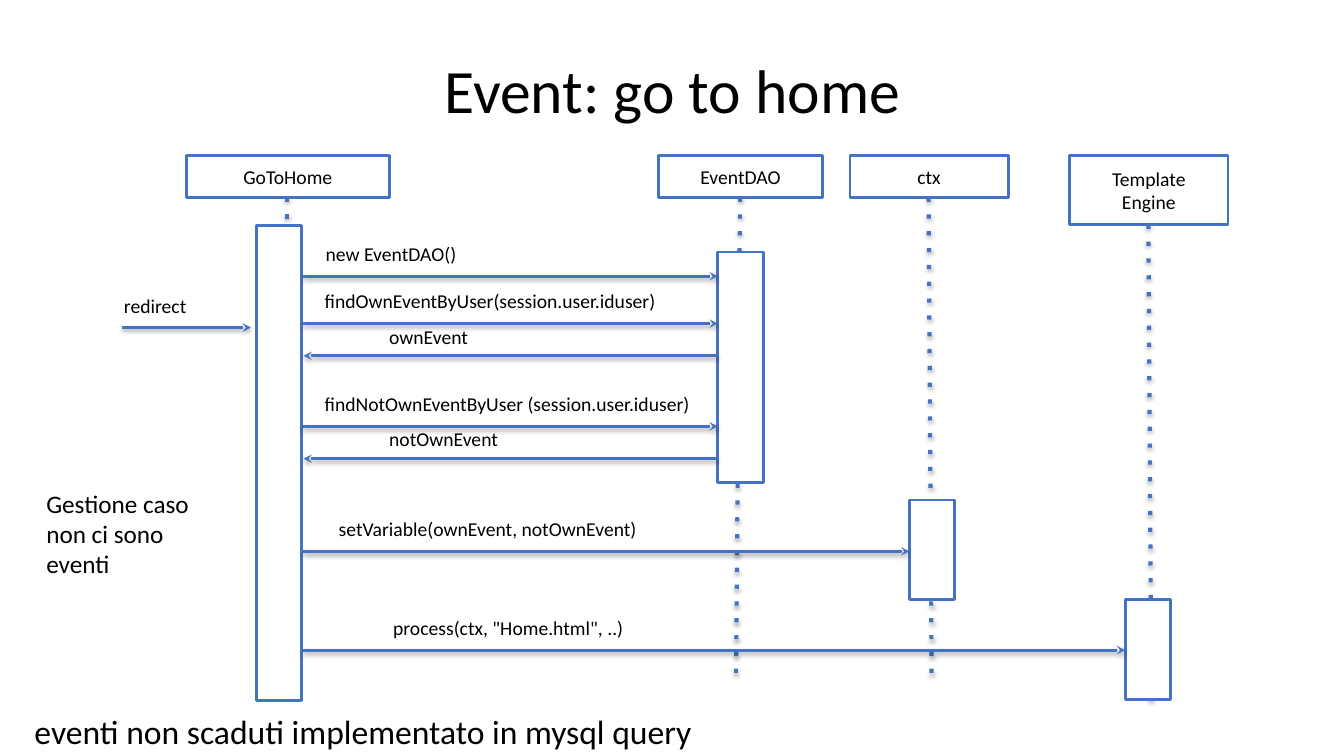
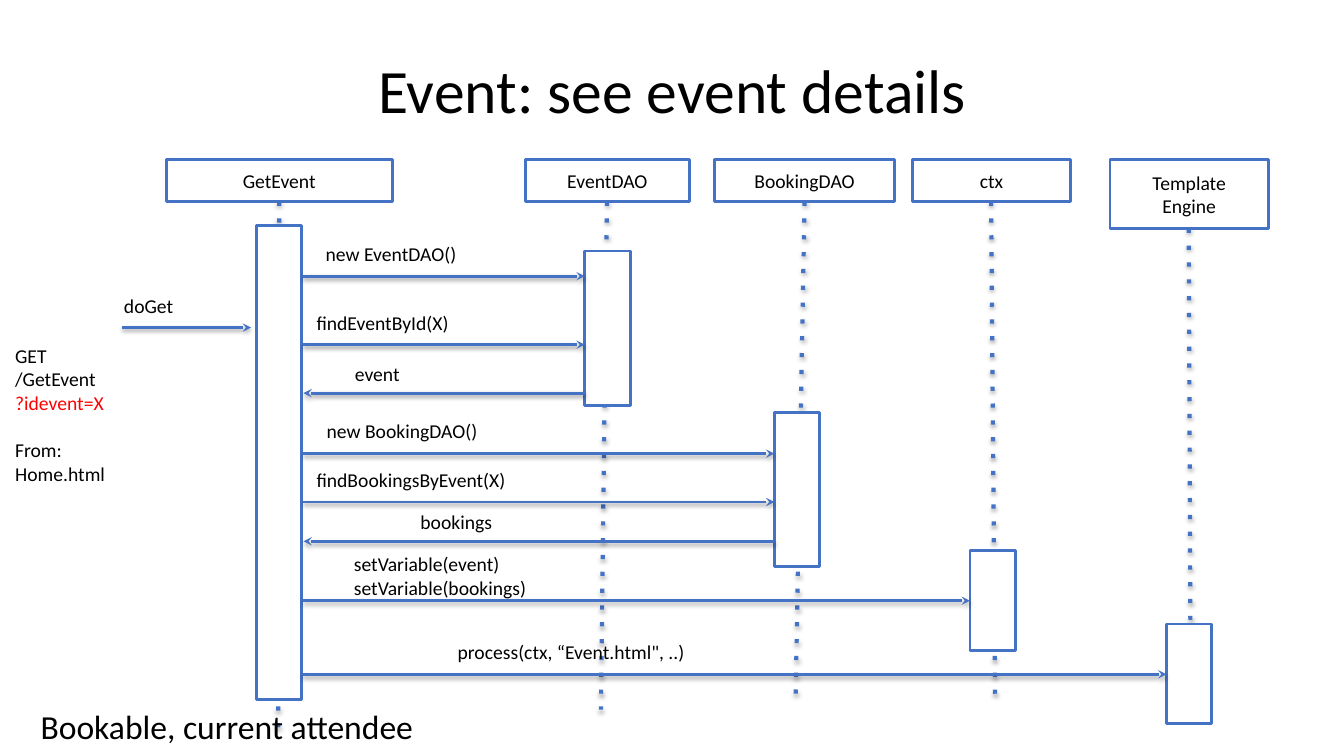
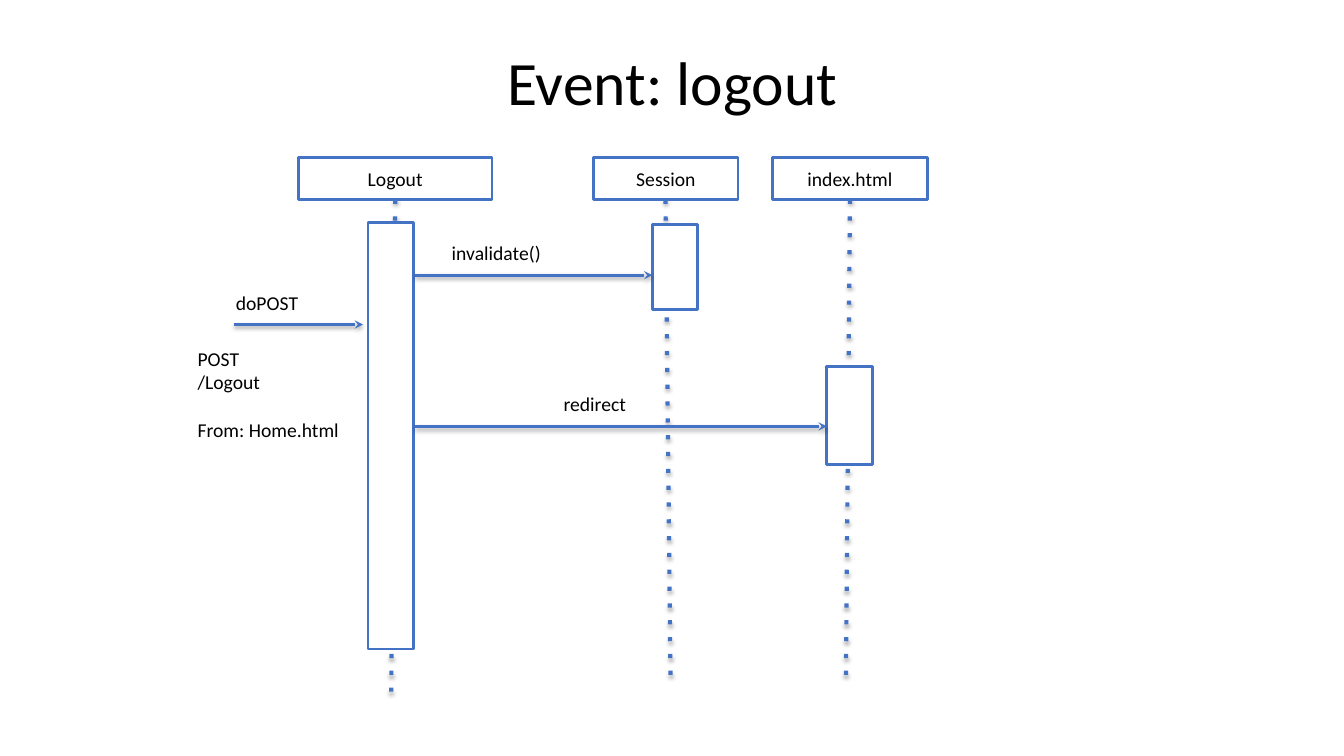
"""Builds three sequence diagrams for the event application."""
import pptx
import pptx.util
import pptx.dml.color
import pptx.enum.shapes
import pptx.enum.text
import pptx.oxml
import pptx.oxml.ns

PX = 9144
FONT = "Calibri"
COLORS = {"line": "4472C4", "fill": "FFFFFF", "text": "000000", "accent": "FF0000"}
BAR_W = 45
LABEL_W = 450
RECT = pptx.enum.shapes.MSO_SHAPE.RECTANGLE
STRAIGHT = pptx.enum.shapes.MSO_CONNECTOR.STRAIGHT
LEFT = pptx.enum.text.PP_ALIGN.LEFT
CENTER = pptx.enum.text.PP_ALIGN.CENTER
TOP = pptx.enum.text.MSO_ANCHOR.TOP
MIDDLE = pptx.enum.text.MSO_ANCHOR.MIDDLE
RGB = pptx.dml.color.RGBColor.from_string
NS = pptx.oxml.ns.nsdecls("a")
DOT = f'<a:prstDash {NS} val="dot"/>'
ARROW = f'<a:tailEnd {NS} type="stealth"/>'
SHADOW = (f'<a:effectLst {NS}><a:outerShdw blurRad="39370" dist="21590" dir="5400000" rotWithShape="0">'
          '<a:srgbClr val="000000"><a:alpha val="36000"/></a:srgbClr></a:outerShdw></a:effectLst>')


def add_text(s, box, text, size=14, align=LEFT, anchor=TOP, outlined=False):
    box = [v * PX for v in box]
    if outlined:
        sp = s.shapes.add_shape(RECT, *box)
        sp.shadow.inherit = False
        sp.fill.solid()
        sp.fill.fore_color.rgb = RGB(COLORS["fill"])
        sp.line.color.rgb = RGB(COLORS["line"])
        sp.line.width = pptx.util.Pt(2)
    else:
        sp = s.shapes.add_textbox(*box)
    if not text:
        return
    tf = sp.text_frame
    tf.word_wrap = True
    tf.vertical_anchor = anchor
    tf.margin_left = tf.margin_right = 13 * PX
    tf.margin_top = tf.margin_bottom = 7 * PX
    tf.text = text
    for p in tf.paragraphs:
        p.alignment = align
        if size == 44:
            p.line_spacing = 0.9
        if p.text.startswith("From:"):
            p.space_before = pptx.util.Pt(17)
        for r in p.runs:
            r.font.name = FONT
            r.font.size = pptx.util.Pt(size)
            r.font.color.rgb = RGB(COLORS["accent" if r.text.startswith("?") else "text"])


def connect(s, x1, y1, x2, y2, width, style):
    cn = s.shapes.add_connector(STRAIGHT, x1 * PX, y1 * PX, x2 * PX, y2 * PX)
    cn.line.color.rgb = RGB(COLORS["line"])
    cn.line.width = pptx.util.Pt(width)
    cn.line._get_or_add_ln().append(pptx.oxml.parse_xml(style))
    cn._element.spPr.append(pptx.oxml.parse_xml(SHADOW))


# Participants: name, head x and width, lifeline end x and y, bar x, y and height
# Messages: target, direction, arrow y, label x, label
slides = [
    {
        "title": "Event: go to home", "title_h": 125, "head_y": 154, "call": "redirect",
        "participants": [
            ("GoToHome", 185, 201, 285, 675, 254, 224, 471),
            ("EventDAO", 653, 163, 730, 671, 712, 250, 229),
            ("ctx", 843, 157, 924, 671, 902, 496, 99),
            ("Template\vEngine", 1061, 157, 1142, 699, 1116, 595, 99),
        ],
        "messages": [
            ("EventDAO", "to", 274, 310, "new EventDAO()"),
            ("EventDAO", "to", 321, 309, "findOwnEventByUser(session.user.iduser)"),
            ("EventDAO", "back", 353, 373, "ownEvent"),
            ("EventDAO", "to", 423, 309, "findNotOwnEventByUser (session.user.iduser)"),
            ("EventDAO", "back", 455, 373, "notOwnEvent"),
            ("ctx", "to", 547, 323, "setVariable(ownEvent, notOwnEvent)"),
            ("Template\vEngine", "to", 645, 377, 'process(ctx, "Home.html", ..)'),
        ],
        "notes": [
            ("Gestione caso non ci sono eventi", (33, 477, 190, 105), 18, LEFT),
            ("eventi non scaduti implementato in mysql query", (11, 698, 698, 52), 24, CENTER),
        ],
    },
    {
        "title": "Event: see event details", "title_h": 125, "head_y": 158, "call": "doGet",
        "participants": [
            ("GetEvent", 165, 224, 276, 723, 254, 224, 470),
            ("EventDAO", 521, 163, 596, 704, 580, 249, 153),
            ("BookingDAO", 709, 178, 789, 699, 768, 409, 153),
            ("ctx", 905, 157, 987, 698, 962, 546, 99),
            ("Template\vEngine", 1101, 157, 1181, 703, 1157, 619, 99),
        ],
        "messages": [
            ("EventDAO", "to", 274, 310, "new EventDAO()"),
            ("EventDAO", "to", 342, 301, "findEventById(X)"),
            ("EventDAO", "back", 390, 339, "event"),
            ("BookingDAO", "to", 450, 311, "new BookingDAO()"),
            ("BookingDAO", "to", 498, 301, "findBookingsByEvent(X)"),
            ("BookingDAO", "back", 537, 404, "bookings"),
            ("ctx", "to", 596, 338, "setVariable(event)\vsetVariable(bookings)"),
            ("Template\vEngine", "to", 669, 441, 'process(ctx, “Event.html", ..)'),
        ],
        "notes": [
            ("GET\n/GetEvent\n?idevent=X\nFrom:\nHome.html", (2, 334, 257, 212), 14, LEFT),
            ("Bookable, current attendee", (0, 693, 450, 54), 24, CENTER),
        ],
    },
    {
        "title": "Event: logout", "title_h": 110, "head_y": 156, "call": "doPOST",
        "participants": [
            ("Logout", 296, 192, 388, 689, 365, 221, 423),
            ("Session", 589, 143, 665, 673, 647, 223, 84),
            ("index.html", 766, 154, 839, 673, 820, 364, 97),
        ],
        "messages": [
            ("Session", "to", 273, 435, "invalidate()"),
            ("index.html", "to", 423, 546, "redirect"),
        ],
        "notes": [
            ("POST\n/Logout\nFrom: Home.html", (183, 337, 176, 307), 14, LEFT),
        ],
    },
]

prs = pptx.Presentation()
prs.slide_width = 1333 * PX
prs.slide_height = 750 * PX

for data in slides:
    s = prs.slides.add_slide(prs.slide_layouts[6])
    add_text(s, (67, 30, 1200, data["title_h"]), data["title"], 44, CENTER, MIDDLE)

    bars = {}
    for name, head_x, head_w, end_x, end_y, bar_x, bar_y, bar_h in data["participants"]:
        head_y = data["head_y"]
        head_h = 69 if "\v" in name else 42
        connect(s, head_x + head_w // 2, head_y + head_h, end_x, end_y, 3, DOT)
        add_text(s, (head_x, head_y, head_w, head_h), name, 14, CENTER, MIDDLE, True)
        add_text(s, (bar_x, bar_y, BAR_W, bar_h), "", outlined=True)
        bars[name] = bar_x

    caller, _, _, _, _, left, top, _ = data["participants"][0]
    call_y = top + 101
    connect(s, left - 133, call_y, left - 5, call_y, 2, ARROW)
    add_text(s, (left - 144, call_y - 40, 134, 34), data["call"])

    for target, direction, y, label_x, label in data["messages"]:
        ends = [bars[caller] + BAR_W + 2, bars[target]]
        lift = 41
        if direction == "back":
            ends.reverse()
            lift = 38
        if "\v" in label:
            lift = 55
        connect(s, ends[0], y, ends[1], y, 2, ARROW)
        add_text(s, (label_x, y - lift, LABEL_W, 34), label)

    for text, box, size, align in data["notes"]:
        add_text(s, box, text, size, align)

prs.save("out.pptx")
